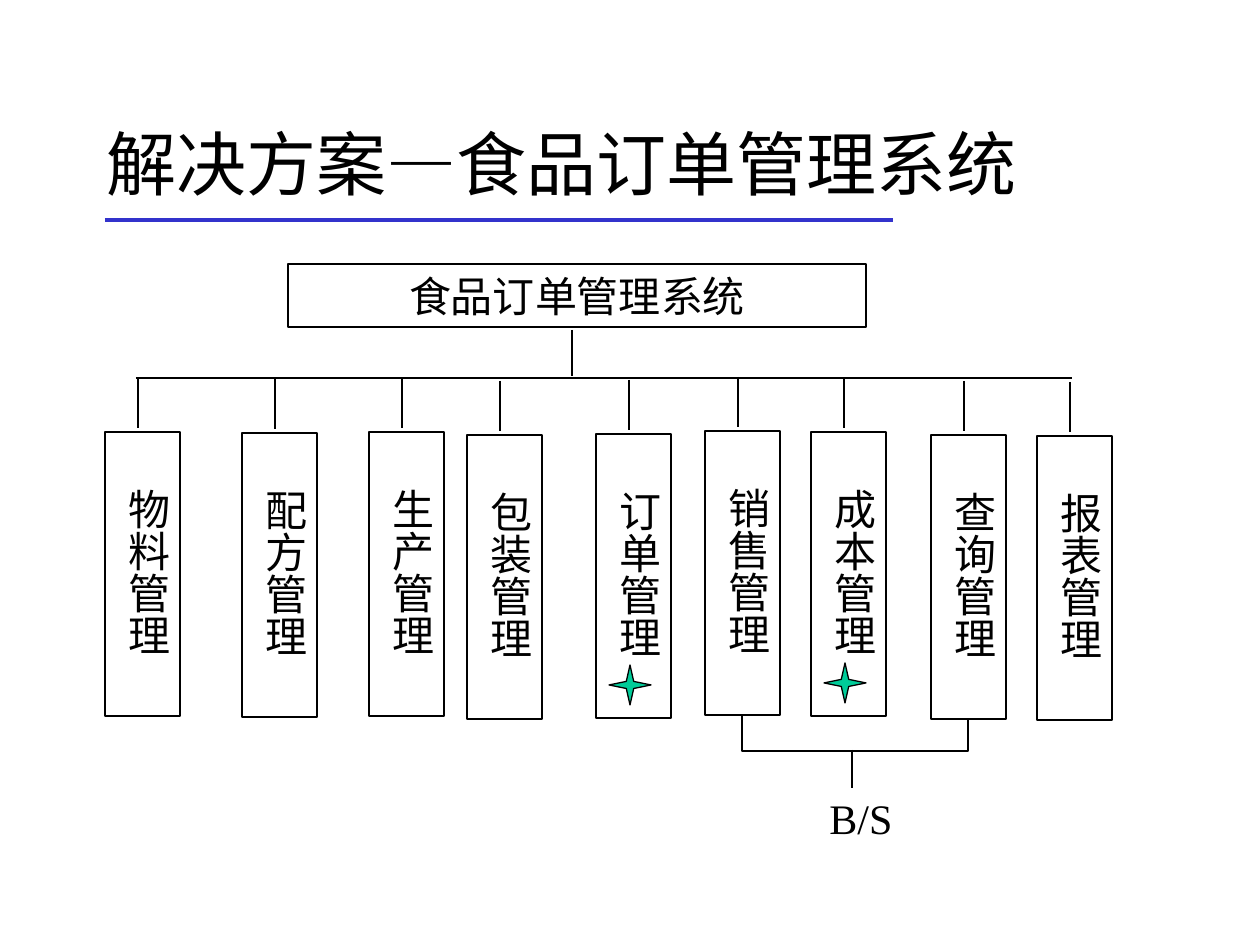
from lxml.etree import SubElement
from pptx import Presentation
from pptx.dml.color import RGBColor
from pptx.enum.shapes import MSO_CONNECTOR as Link, MSO_SHAPE as Shape
from pptx.enum.text import MSO_ANCHOR as Anchor, PP_ALIGN as Align
from pptx.oxml.ns import qn
from pptx.util import Emu, Pt

# Content
TITLE = [("解决方案", "sans"), ("—", "serif"), ("食品订单管理系统", "sans")]
ROOT = "食品订单管理系统"
# name, left, top, starred
MODULES = [
    ("物料管理", 105, 432, False),
    ("配方管理", 242, 433, False),
    ("生产管理", 369, 432, False),
    ("包装管理", 467, 435, False),
    ("订单管理", 596, 434, True),
    ("销售管理", 705, 431, False),
    ("成本管理", 811, 432, True),
    ("查询管理", 931, 435, False),
    ("报表管理", 1037, 436, False),
]
WEB = "B/S"

COLORS = {"ink": "000000", "rule": "3333CC", "star": "00CC99"}
FONTS = {"sans": "Noto Sans CJK SC", "serif": "Times New Roman"}
BOX_W, BOX_H = 75, 284
STAR_W, STAR_H = 42, 40
BUS_Y = 378


def px(n):
    return Emu(round(n * 914400 / 126))


def color(name):
    return RGBColor.from_string(COLORS[name])


prs = Presentation()
prs.slide_width, prs.slide_height = px(1260), px(945)
slide = prs.slides.add_slide(prs.slide_layouts[6])
shapes = slide.shapes


def write(shape, runs, size=24, align=Align.CENTER, anchor=Anchor.TOP,
          inset=(13, 7), upright=False):
    frame = shape.text_frame
    frame.word_wrap = True
    frame.vertical_anchor = anchor
    frame.margin_left = frame.margin_right = px(inset[0])
    frame.margin_top = frame.margin_bottom = px(inset[1])
    if upright:
        frame._txBody.bodyPr.set("vert", "eaVert")
    para = frame.paragraphs[0]
    para.alignment = align
    for text, face in runs:
        run = para.add_run()
        run.text = text
        run.font.size = Pt(size)
        run.font.name = FONTS[face]
        run.font.color.rgb = color("ink")
        east = SubElement(run.font._element, qn("a:ea"))
        east.set("typeface", FONTS["sans"])


def label(x, y, w, h, runs, **style):
    write(shapes.add_textbox(px(x), px(y), px(w), px(h)), runs, **style)


def outline(kind, x, y, w, h, fill=None):
    shape = shapes.add_shape(kind, px(x), px(y), px(w), px(h))
    shape.shadow.inherit = False
    if fill:
        shape.fill.solid()
        shape.fill.fore_color.rgb = color(fill)
    else:
        shape.fill.background()
    shape.line.color.rgb = color("ink")
    shape.line.width = Pt(0.75)
    return shape


def link(x1, y1, x2, y2, ink="ink", width=0.75, kind=Link.STRAIGHT):
    line = shapes.add_connector(kind, px(x1), px(y1), px(x2), px(y2))
    line.line.color.rgb = color(ink)
    line.line.width = Pt(width)
    SubElement(line._element.spPr, qn("a:effectLst"))
    return line


# Title and rule
link(105, 220, 893, 220, ink="rule", width=2.25)
label(94, 84, 1071, 158, TITLE, size=40, align=Align.LEFT, anchor=Anchor.MIDDLE)

# Root box, trunk and bus
write(outline(Shape.RECTANGLE, 288, 264, 578, 63), [(ROOT, "serif")])
link(572, 330, 572, 376)
link(136, BUS_Y, 1072, BUS_Y)

# Modules, each hanging from the bus
for name, x, y, starred in MODULES:
    link(x + 33, y - 54, x + 33, y - 4)
    box = outline(Shape.RECTANGLE, x, y, BOX_W, BOX_H)
    write(box, [(name, "serif")], inset=(7, 57), upright=True)

# Bracket below two modules: an elbow turned a quarter, bending 35 px down
bend = link(853, 605, 857, 831, kind=Link.ELBOW)
xfrm = bend._element.spPr.find(qn("a:xfrm"))
xfrm.set("rot", str(270 * 60000))
xfrm.set("flipH", "1")
geom = bend._element.spPr.find(qn("a:prstGeom"))
guides = geom.find(qn("a:avLst"))
if guides is None:
    guides = SubElement(geom, qn("a:avLst"))
guide = SubElement(guides, qn("a:gd"))
guide.set("name", "adj1")
guide.set("fmla", "val 875000")
link(852, 750, 852, 788)
label(756, 786, 210, 63, [(WEB, "serif")])

# Stars
for name, x, y, starred in MODULES:
    if starred:
        outline(Shape.STAR_4_POINT, x + 13, y + 231, STAR_W, STAR_H, fill="star")

prs.save("out.pptx")
